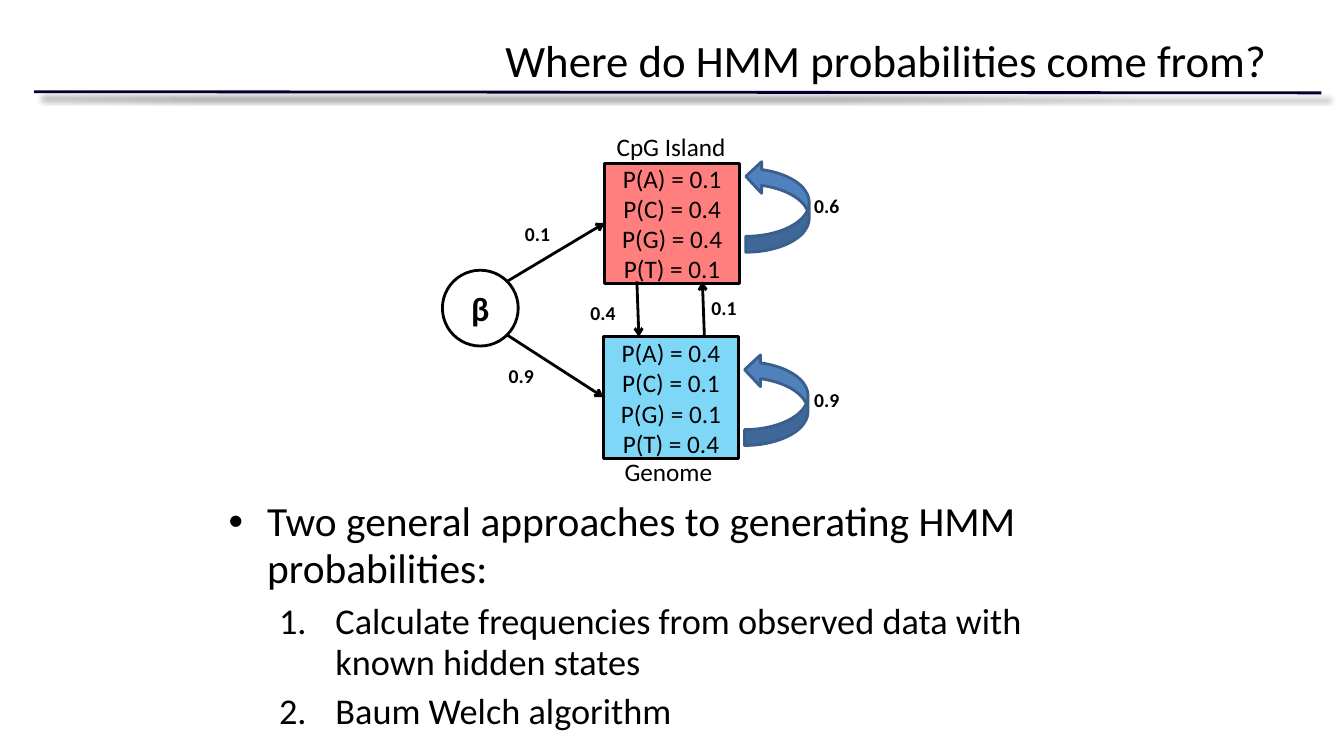
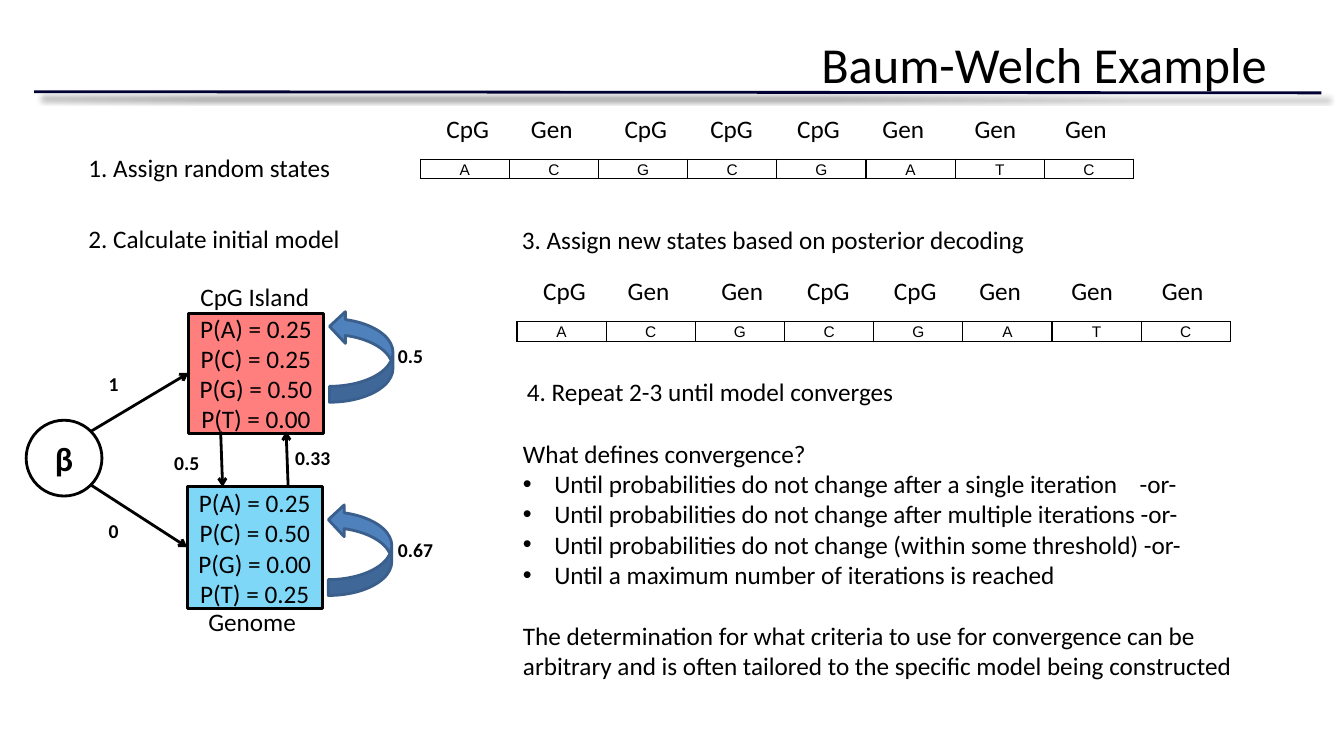
import pptx
import pptx.util
import pptx.dml.color
import pptx.enum.shapes
import pptx.enum.text
import pptx.oxml
import pptx.oxml.ns
from lxml import etree

Cm, Pt = pptx.util.Cm, pptx.util.Pt
SHAPE = pptx.enum.shapes.MSO_SHAPE
ALIGN = pptx.enum.text.PP_ALIGN
ANCHOR = pptx.enum.text.MSO_ANCHOR
qn = pptx.oxml.ns.qn

# Shared look
COLORS = {"text": "000000", "rule": "000033", "cpg": "FF0000", "genome": "00B0F0",
          "loop": "4F81BD", "loop_edge": "3A5F8C"}
FONT, TABLE_FONT = "Calibri", "Arial"
BODY_SIZE, LABEL_SIZE, BETA_SIZE = 18, 14, 24

# Slide 1 content
TITLE_1 = "Where do HMM probabilities come from?"
APPROACHES = [
    (0, "Two general approaches to generating HMM probabilities:"),
    (1, "Calculate frequencies from observed data with known hidden states"),
    (1, "Baum Welch algorithm"),
]
MODEL_1 = {
    "origin": (11.15, 6.81),
    "cpg": ["0.1", "0.4", "0.4", "0.1"],
    "genome": ["0.4", "0.1", "0.1", "0.4"],
    "labels": [("0.1", 1.83, -1.35), ("0.9", 1.42, 2.24), ("0.9", 9.12, 2.84),
               ("0.6", 9.12, -2.06), ("0.1", 6.53, 0.53), ("0.4", 3.48, 0.64)],
}

# Slide 2 content
TITLE_2 = "Baum-Welch Example"
MODEL_2 = {
    "origin": (0.66, 10.59),
    "cpg": ["0.25", "0.25", "0.50", "0.00"],
    "genome": ["0.25", "0.50", "0.00", "0.25"],
    "labels": [("1", 1.83, -1.35), ("0", 1.83, 2.36), ("0.67", 9.12, 2.84),
               ("0.5", 9.12, -2.06), ("0.33", 6.53, 0.53), ("0.5", 3.48, 0.64)],
}
STEPS = [
    ("1. Assign random states", 1.98, 3.71, 6.65),
    ("2. Calculate initial model", 1.98, 5.51, 7.06),
    ("3. Assign new states based on posterior decoding", 12.9, 5.54, 13.31),
    ("4. Repeat 2-3 until model converges", 13.03, 9.35, 9.86),
]
BASES = "ACGCGATC"
SEQUENCES = [
    (10.59, 4.01, ["CpG", "Gen", "CpG", "CpG", "CpG", "Gen", "Gen", "Gen"]),
    (13.03, 8.1, ["CpG", "Gen", "Gen", "CpG", "CpG", "Gen", "Gen", "Gen"]),
]
STATE_X = [0.41, 2.54, 4.9, 7.06, 9.25, 11.4, 13.72, 16]
QUESTION = "What defines convergence?"
CRITERIA = [
    "Until probabilities do not change after a single iteration\t-or-",
    "Until probabilities do not change after multiple iterations -or-",
    "Until probabilities do not change (within some threshold) -or-",
    "Until a maximum number of iterations is reached",
]
CONCLUSION = ("The determination for what criteria to use for convergence can be "
              "arbitrary and is often tailored to the specific model being constructed")

# Model diagram, relative to the corner of the start circle
STATES = [  # key, name, box, name box
    ("cpg", "CpG Island", (4.09, -2.69, 3.4, 3.02), (4.14, -3.63, 3.28, 1.02)),
    ("genome", "Genome", (4.06, 1.68, 3.4, 3.07), (4.34, 4.57, 2.74, 1.02)),
]
LOOPS = [(7.29, -2.41), (7.26, 2.46)]
TRANSITIONS = [(1.63, 0.28, 4.09, -1.19), (1.63, 1.63, 4.06, 3.2),
               (6.6, 1.63, 6.55, 0.28), (4.9, 0.28, 4.95, 1.68)]
LABEL_WIDTH = {1: 0.76, 3: 1.14, 4: 1.4}


def rgb(name):
    return pptx.dml.color.RGBColor.from_string(COLORS[name])


def add_xml(parent, tag, **attrs):
    return etree.SubElement(parent, qn(tag), attrs)


def style(tf, size, bold=False, align=None, font=FONT):
    for p in tf.paragraphs:
        if align is not None:
            p.alignment = align
        for r in p.runs:
            r.font.name, r.font.size, r.font.bold = font, Pt(size), bold
            r.font.color.rgb = rgb("text")


def bullet(p, left, hanging, number=False):
    pPr = p._p.get_or_add_pPr()
    pPr.set("marL", str(Cm(left)))
    pPr.set("indent", str(-Cm(hanging)))
    if number:
        add_xml(pPr, "a:buFont", typeface="+mj-lt")
        add_xml(pPr, "a:buAutoNum", type="arabicPeriod")
    else:
        add_xml(pPr, "a:buFont", typeface="Arial")
        add_xml(pPr, "a:buChar", char="•")


def add_text(s, text, x, y, w, h=1.02, size=BODY_SIZE, bold=False, wrap=False):
    tf = s.shapes.add_textbox(Cm(x), Cm(y), Cm(w), Cm(h)).text_frame
    tf.word_wrap = wrap
    tf.text = text
    style(tf, size, bold)
    return tf


def add_box(s, kind, x, y, w, h, fill=None, edge="text", alpha=None):
    sp = s.shapes.add_shape(kind, Cm(x), Cm(y), Cm(w), Cm(h))
    sp.shadow.inherit = False
    sp.line.color.rgb, sp.line.width = rgb(edge), Pt(2)
    if fill:
        sp.fill.solid()
        sp.fill.fore_color.rgb = rgb(fill)
    else:
        sp.fill.background()
    if alpha:
        color = sp.element.spPr.find(qn("a:solidFill")).find(qn("a:srgbClr"))
        add_xml(color, "a:alpha", val=str(alpha * 1000))
    return sp


def fill_box(sp, text, size, bold=False):
    tf = sp.text_frame
    tf.margin_left = tf.margin_right = 0
    tf.vertical_anchor = ANCHOR.MIDDLE
    tf.text = text
    style(tf, size, bold, ALIGN.CENTER)


def add_line(s, x1, y1, x2, y2, color="text", arrow=False):
    c = s.shapes.add_connector(pptx.enum.shapes.MSO_CONNECTOR.STRAIGHT,
                               Cm(x1), Cm(y1), Cm(x2), Cm(y2))
    c.line.color.rgb, c.line.width = rgb(color), Pt(2)
    spPr = c.element.spPr
    if arrow:
        add_xml(spPr.find(qn("a:ln")), "a:tailEnd", type="arrow")
    return add_xml(spPr, "a:effectLst")


def add_slide(prs, layout, title, size):
    s = prs.slides.add_slide(prs.slide_layouts.get_by_name(layout))
    sp = s.shapes.title
    sp.left, sp.top, sp.width, sp.height = Cm(1.7), Cm(0.64), Cm(30.48), Cm(3.18)
    tf = sp.text_frame
    tf.vertical_anchor = ANCHOR.TOP
    tf.margin_top = Cm(0.19)
    tf.text = title
    style(tf, size, align=ALIGN.RIGHT)
    # Title rule with its shadow
    effects = add_line(s, 0.86, 2.31, 33.3, 2.34, "rule")
    shadow = add_xml(effects, "a:outerShdw", blurRad=str(Pt(4)), dist=str(Pt(6)),
                     dir="2700000", algn="tl", rotWithShape="0")
    color = add_xml(shadow, "a:srgbClr", val=COLORS["text"])
    add_xml(color, "a:alpha", val="50000")
    return s


def add_model(s, model):
    ox, oy = model["origin"]
    for key, name, (x, y, w, h), (nx, ny, nw, nh) in STATES:
        sp = add_box(s, SHAPE.RECTANGLE, ox + x, oy + y, w, h, key, alpha=50)
        rows = [f"P({base}) = {p}" for base, p in zip("ACGT", model[key])]
        fill_box(sp, "\n".join(rows), BODY_SIZE)
        add_text(s, name, ox + nx, oy + ny, nw, nh)
    fill_box(add_box(s, SHAPE.OVAL, ox, oy, 1.91, 1.91), "β", BETA_SIZE, True)
    for x, y in LOOPS:
        sp = add_box(s, SHAPE.CURVED_UP_ARROW, ox + x, oy + y, 2.31, 1.6,
                     "loop", "loop_edge")
        sp.rotation = 270
    for x1, y1, x2, y2 in TRANSITIONS:
        add_line(s, ox + x1, oy + y1, ox + x2, oy + y2, arrow=True)
    for text, x, y in model["labels"]:
        add_text(s, text, ox + x, oy + y, LABEL_WIDTH[len(text)], 0.86,
                 LABEL_SIZE, True)


def add_sequence(s, x, y, states):
    frame = s.shapes.add_table(1, len(BASES), Cm(x), Cm(y), Cm(17.98), Cm(0.48))
    table = frame.table
    table.first_row = table.horz_banding = False
    table.rows[0].height = Cm(0.48)
    for column, cell, base in zip(table.columns, table.rows[0].cells, BASES):
        column.width = Cm(17.98 / len(BASES))
        cell.text = base
        cell.margin_left = cell.margin_right = cell.margin_top = Cm(0.03)
        cell.margin_bottom = 0
        cell.vertical_anchor = ANCHOR.BOTTOM
        style(cell.text_frame, 11, align=ALIGN.CENTER, font=TABLE_FONT)
        tcPr = cell._tc.get_or_add_tcPr()
        for side in "LRTB":
            ln = add_xml(tcPr, f"a:ln{side}", w=str(Pt(1)))
            add_xml(add_xml(ln, "a:solidFill"), "a:srgbClr", val=COLORS["text"])
        cell.fill.background()
    for dx, state in zip(STATE_X, states):
        add_text(s, state, x + dx, y - 1.28, 1.6)


def add_approaches(s):
    sp = s.placeholders[1]
    sp.left, sp.top, sp.width, sp.height = Cm(5.51), Cm(12.42), Cm(22.86), Cm(5.56)
    tf = sp.text_frame
    tf.auto_size = pptx.enum.text.MSO_AUTO_SIZE.NONE
    tf.margin_right = Cm(0.5)
    tf.text = "\n".join(text for _, text in APPROACHES)
    style(tf, 25.9)
    for i, (p, (level, _)) in enumerate(zip(tf.paragraphs, APPROACHES)):
        p.level = level
        p.line_spacing = 0.96
        p.space_before = Pt(5.2 if i else 0)
        if level:
            bullet(p, 2.69, 1.42, number=True)
        else:
            bullet(p, 0.97, 0.97)
            p.runs[0].font.size = Pt(29.6)


def add_convergence(s):
    text = "\n".join([QUESTION, *CRITERIA, CONCLUSION])
    tf = add_text(s, text, 12.93, 10.92, 19.33, 6.4, wrap=True)
    for p in tf.paragraphs[1:-1]:
        bullet(p, 0.79, 0.79)
        if "\t" in p.text:
            tabs = add_xml(p._p.get_or_add_pPr(), "a:tabLst")
            add_xml(tabs, "a:tab", pos=str(Cm(15.54)), algn="l")
    tf.paragraphs[-1].space_before = Pt(22)


def main():
    prs = pptx.Presentation()
    prs.slide_width, prs.slide_height = Cm(33.87), Cm(19.05)

    # Slide 1: where the probabilities come from
    s = add_slide(prs, "Title and Content", TITLE_1, 32)
    add_approaches(s)
    add_model(s, MODEL_1)

    # Slide 2: worked example
    s = add_slide(prs, "Title Only", TITLE_2, 36)
    for text, x, y, w in STEPS:
        add_text(s, text, x, y, w)
    for x, y, states in SEQUENCES:
        add_sequence(s, x, y, states)
    add_model(s, MODEL_2)
    add_convergence(s)

    prs.save("out.pptx")


if __name__ == "__main__":
    main()
